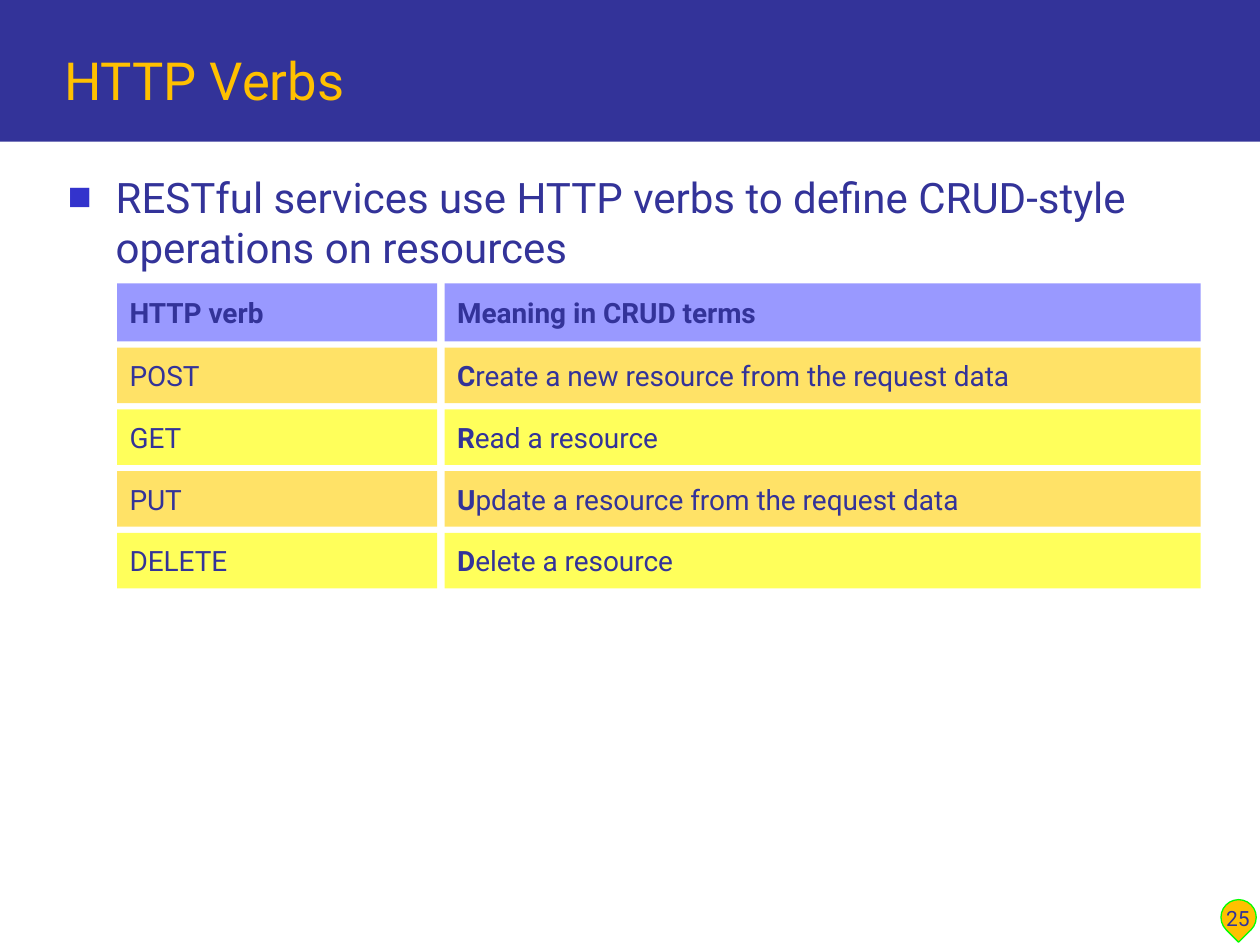
"""Build a slide that maps HTTP verbs to CRUD operations."""
from lxml.etree import SubElement
from pptx import Presentation
from pptx.dml.color import RGBColor
from pptx.enum.shapes import MSO_SHAPE
from pptx.enum.text import MSO_ANCHOR, PP_ALIGN
from pptx.oxml.ns import qn
from pptx.util import Inches, Pt

TITLE = "HTTP Verbs"
BULLET = "RESTful services use HTTP verbs to define CRUD-style operations on resources"
PAGE_NUMBER = "25"
HEADER = ("HTTP verb", "Meaning in CRUD terms")
VERBS = [
    ("POST", "Create a new resource from the request data"),
    ("GET", "Read a resource"),
    ("PUT", "Update a resource from the request data"),
    ("DELETE", "Delete a resource"),
]
COLORS = {
    "navy": "333399",
    "gold": "FFC000",
    "green": "00FF00",
    "bullet": "3333CC",
    "header": "9999FF",
    "odd": "FFE267",
    "even": "FFFF5B",
}
FONT = "Roboto"
WIDTH, HEIGHT = 10, 7.5
COLUMNS = [(0.93, 2.54), (3.53, 6)]
HEADER_TOP, HEADER_HEIGHT = 2.25, 0.46
FIRST_ROW, ROW_PITCH, ROW_HEIGHT = 2.76, 0.49, 0.44


def color(name):
    return RGBColor.from_string(COLORS[name])


def add_block(page, preset, area, fill):
    block = page.shapes.add_shape(preset, *map(Inches, area))
    block.shadow.inherit = False
    block.fill.solid()
    block.fill.fore_color.rgb = color(fill)
    block.line.fill.background()
    return block


def write(box, parts, size, ink="navy", anchor=MSO_ANCHOR.MIDDLE, align=PP_ALIGN.LEFT):
    frame = box.text_frame
    frame.word_wrap = True
    frame.vertical_anchor = anchor
    para = frame.paragraphs[0]
    para.alignment = align
    for words, bold in parts:
        span = para.add_run()
        span.text = words
        span.font.name = FONT
        span.font.size = Pt(size)
        span.font.bold = bold
        span.font.color.rgb = color(ink)
    return para


def add_text(page, area, words, size, **style):
    box = page.shapes.add_textbox(*map(Inches, area))
    return write(box, [(words, False)], size, **style)


def add_bullet(para, indent):
    properties = para._p.get_or_add_pPr()
    properties.set("marL", str(Inches(indent)))
    properties.set("indent", str(-Inches(indent)))
    tint = SubElement(properties, qn("a:buClr"))
    SubElement(tint, qn("a:srgbClr"), val=COLORS["bullet"])
    SubElement(properties, qn("a:buSzPct"), val="60000")
    SubElement(properties, qn("a:buFont"), typeface=FONT)
    SubElement(properties, qn("a:buChar"), char="■")


def add_row(page, top, height, fill, cells):
    for (left, width), parts in zip(COLUMNS, cells):
        cell = add_block(page, MSO_SHAPE.RECTANGLE, (left, top, width, height), fill)
        write(cell, parts, 16)


def main():
    deck = Presentation()
    deck.slide_width, deck.slide_height = Inches(WIDTH), Inches(HEIGHT)
    page = deck.slides.add_slide(deck.slide_layouts[6])

    add_block(page, MSO_SHAPE.RECTANGLE, (0, 0, WIDTH, 0.15 * HEIGHT), "navy")
    badge = add_block(page, MSO_SHAPE.TEAR, (9.69, 7.14, 0.28, 0.28), "gold")
    badge.rotation = 135
    badge.line.color.rgb = color("green")
    badge.line.width = Pt(0.75)

    para = add_text(page, (0.44, 1.31, 9.28, 5.4), BULLET, 24, anchor=MSO_ANCHOR.TOP)
    add_bullet(para, 0.38)
    add_text(page, (0.41, 0.17, 9.35, 0.76), TITLE, 30, ink="gold", anchor=MSO_ANCHOR.BOTTOM)
    add_text(page, (9.54, 6.94, 0.57, 0.5), PAGE_NUMBER, 12,
             anchor=MSO_ANCHOR.BOTTOM, align=PP_ALIGN.CENTER)

    add_row(page, HEADER_TOP, HEADER_HEIGHT, "header", [[(label, True)] for label in HEADER])
    for index, (verb, meaning) in enumerate(VERBS):
        fill = "even" if index % 2 else "odd"
        cells = [[(verb, False)], [(meaning[0], True), (meaning[1:], False)]]
        add_row(page, FIRST_ROW + index * ROW_PITCH, ROW_HEIGHT, fill, cells)

    deck.save("out.pptx")


if __name__ == "__main__":
    main()
